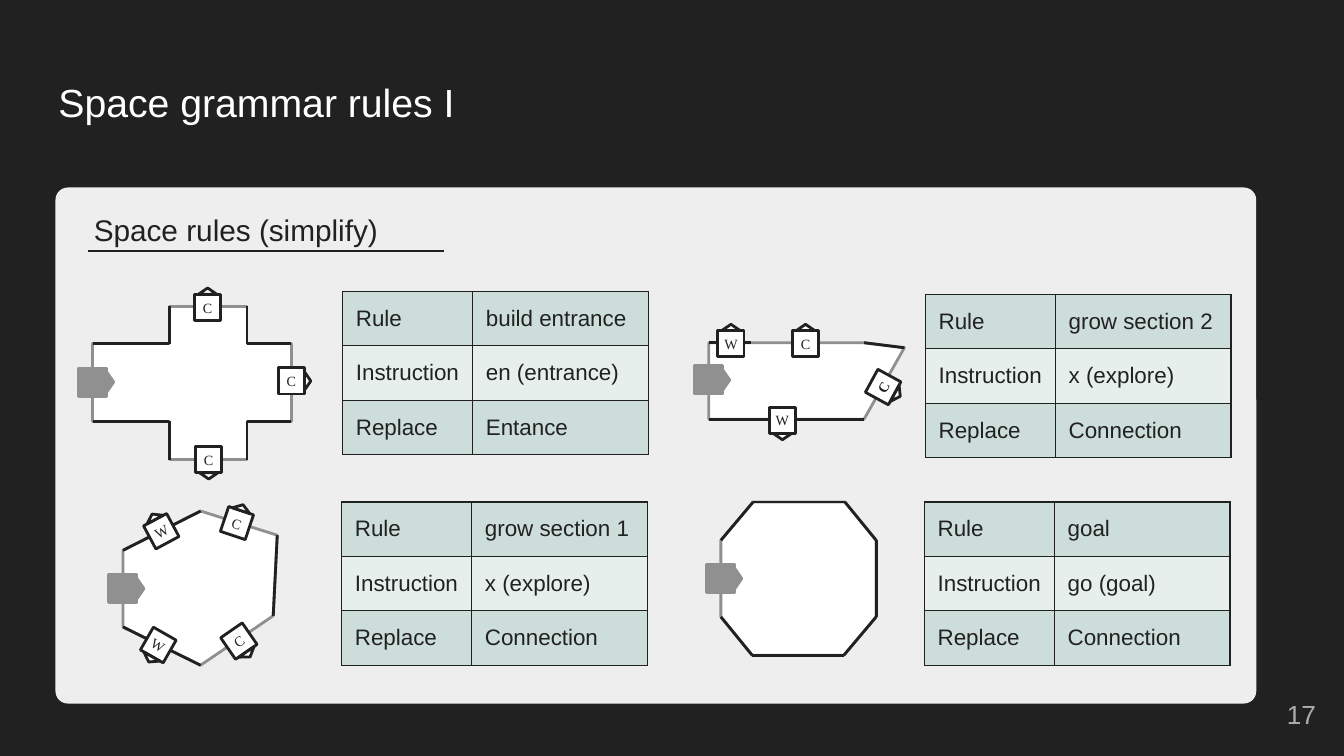
"""Builds the slide "Space grammar rules I": four room outlines with their rule tables."""
from itertools import pairwise
from math import cos, radians, sin

from lxml import etree
from pptx import Presentation
from pptx.dml.color import RGBColor
from pptx.enum.shapes import MSO_CONNECTOR, MSO_SHAPE
from pptx.enum.text import MSO_ANCHOR, PP_ALIGN
from pptx.oxml import parse_xml
from pptx.oxml.ns import qn
from pptx.util import Inches, Pt

STRAIGHT = MSO_CONNECTOR.STRAIGHT
RECTANGLE, ROUNDED, TRIANGLE = MSO_SHAPE.RECTANGLE, MSO_SHAPE.ROUNDED_RECTANGLE, MSO_SHAPE.ISOSCELES_TRIANGLE
TOP, MIDDLE = MSO_ANCHOR.TOP, MSO_ANCHOR.MIDDLE
LEFT, CENTER, RIGHT = PP_ALIGN.LEFT, PP_ALIGN.CENTER, PP_ALIGN.RIGHT

COLORS = {"ink": "212121", "panel": "EEEEEE", "white": "FFFFFF", "gray": "909090",
          "number": "ADADAD", "band": "CCDDDA", "pale": "E7EFED"}
RGB = {name: RGBColor.from_string(value) for name, value in COLORS.items()}
BORDER = ('<a:{} xmlns:a="http://schemas.openxmlformats.org/drawingml/2006/main" w="12700">'
          '<a:solidFill><a:srgbClr val="{}"/></a:solidFill></a:{}>')


def write(frame, text, size, color, align=LEFT, font="Arial", bold=None):
    """Put one styled run in the first paragraph of a text frame."""
    para = frame.paragraphs[0]
    para.alignment = align
    span = para.add_run()
    span.text = text
    span.font.size, span.font.name, span.font.bold = Pt(size), font, bold
    span.font.color.rgb = RGB[color]


def paint(shape, fill, line):
    """Give a shape a flat fill and a 2-point line."""
    shape.shadow.inherit = False
    shape.fill.solid()
    shape.fill.fore_color.rgb = RGB[fill]
    shape.line.color.rgb = RGB[line]
    shape.line.width = Pt(2)


deck = Presentation()
deck.slide_width, deck.slide_height = Inches(13.33), Inches(7.5)
page = deck.slides.add_slide(deck.slide_layouts[6])
page.background.fill.solid()
page.background.fill.fore_color.rgb = RGB["ink"]

panel = page.shapes.add_shape(ROUNDED, Inches(0.55), Inches(1.86), Inches(11.91), Inches(5.12))
panel.adjustments[0] = 0.024
paint(panel, "panel", "panel")
panel.line.fill.background()

texts = [
    ("17", 12.35, 6.8, 0.8, 0.57, 0.1, 18.7, "number", RIGHT, MIDDLE),
    ("Space grammar rules I", 0.45, 0.65, 12.42, 0.84, 0.13, 28, "white", LEFT, TOP),
    ("Space rules (simplify)", 0.8, 1.96, 3.22, 0.64, 0.13, 21.3, "ink", LEFT, MIDDLE),
]
for text, left, top, width, height, inset, size, color, align, anchor in texts:
    box = page.shapes.add_textbox(Inches(left), Inches(top), Inches(width), Inches(height))
    frame = box.text_frame
    frame.word_wrap = True
    frame.vertical_anchor = anchor
    frame.margin_left = frame.margin_right = frame.margin_top = frame.margin_bottom = Inches(inset)
    write(frame, text, size, color, align)

underline = page.shapes.add_connector(STRAIGHT, Inches(0.87), Inches(2.49), Inches(4.4), Inches(2.49))
underline.line.color.rgb = RGB["ink"]
underline.line.width = Pt(1.25)
etree.SubElement(underline.element.spPr, qn("a:effectLst"))

# Marks: letter, centre x, centre y, rotation, turn of the pointer, bold
rooms = [
    {"outline": [(1.68, 3.04), (2.45, 3.04), (2.45, 3.41), (2.89, 3.41), (2.89, 4.18), (2.45, 4.18),
                 (2.45, 4.56), (1.68, 4.56), (1.68, 4.18), (0.92, 4.18), (0.92, 3.41), (1.68, 3.41)],
     "walls": [[(0.92, 3.41), (1.68, 3.41), (1.68, 3.04)], [(0.92, 4.18), (1.68, 4.18), (1.68, 4.56)],
               [(2.45, 4.56), (2.45, 4.18), (2.89, 4.18)], [(2.45, 3.04), (2.45, 3.41), (2.89, 3.41)]],
     "door": (0.92, 3.79),
     "marks": [("C", 2.89, 3.78, 0, 90, None), ("C", 2.06, 3.05, 0, 0, None),
               ("C", 2.07, 4.56, 0, 180, None)]},
    {"outline": [(1.99, 5.07), (2.75, 5.31), (2.71, 6.11), (1.99, 6.6), (1.22, 6.22), (1.22, 5.46)],
     "walls": [[(1.99, 5.07), (1.22, 5.46)], [(2.75, 5.31), (2.71, 6.11)], [(1.99, 6.6), (1.22, 6.22)]],
     "door": (1.22, 5.84),
     "marks": [("C", 2.35, 5.19, 18.5, 0, None), ("C", 2.37, 6.36, 325.3, 180, None),
               ("W", 1.57, 6.4, 29.8, 180, None), ("W", 1.6, 5.27, 331.8, 0, None)]},
    {"outline": [(8.57, 3.4), (8.97, 3.45), (8.57, 4.16), (7.03, 4.16), (7.03, 3.4)],
     "walls": [[(8.57, 3.4), (8.97, 3.45)], [(7.03, 4.16), (8.57, 4.16)], [(7.03, 3.4), (7.45, 3.4)]],
     "door": (7.03, 3.77),
     "marks": [("W", 7.25, 3.41, 0, 0, None), ("C", 7.99, 3.41, 0, 0, None),
               ("C", 8.76, 3.84, 298.6, 180, True), ("W", 7.76, 4.17, 0, 180, None)]},
    {"outline": [(7.47, 4.98), (8.38, 4.98), (8.69, 5.36), (8.69, 6.12), (8.37, 6.5), (7.46, 6.5),
                 (7.15, 6.12), (7.15, 5.36)],
     "walls": [[(7.15, 5.36), (7.47, 4.98), (8.38, 4.98), (8.69, 5.36), (8.69, 6.12), (8.37, 6.5),
                (7.46, 6.5), (7.15, 6.12)]],
     "door": (7.15, 5.74),
     "marks": []},
]
for room in rooms:
    group = page.shapes.add_group_shape()
    corners = [(Inches(x), Inches(y)) for x, y in room["outline"]]
    builder = group.shapes.build_freeform(*corners[0])
    builder.add_line_segments(corners[1:], close=True)
    paint(builder.convert_to_shape(), "white", "gray")

    for wall in room["walls"]:
        for start, end in pairwise(wall):
            edge = group.shapes.add_connector(STRAIGHT, *map(Inches, start + end))
            edge.line.color.rgb = RGB["ink"]
            edge.line.width = Pt(2)
            etree.SubElement(edge.element.spPr, qn("a:effectLst"))

    door = ("", *room["door"], 0, 90, None)
    for letter, x, y, rotation, turn, bold in [door, *room["marks"]]:
        size, fill, line = (0.26, "white", "ink") if letter else (0.28, "gray", "gray")
        square = group.shapes.add_shape(
            RECTANGLE, Inches(x - size / 2), Inches(y - size / 2), Inches(size), Inches(size))
        square.rotation = rotation
        paint(square, fill, line)
        if letter:
            frame = square.text_frame
            frame.word_wrap = False
            frame.vertical_anchor = MIDDLE
            frame.margin_left = frame.margin_right = frame.margin_top = frame.margin_bottom = 0
            write(frame, letter, 10.1, "ink", CENTER, "Times New Roman", bold)

        heading = (rotation + turn) % 360
        tip_x = x + 0.62 * size * sin(radians(heading))
        tip_y = y - 0.62 * size * cos(radians(heading))
        width, height = 0.7 * size, 0.24 * size
        pointer = group.shapes.add_shape(
            TRIANGLE, Inches(tip_x - width / 2), Inches(tip_y - height / 2), Inches(width), Inches(height))
        pointer.rotation = heading
        paint(pointer, fill, line)

rules = [
    (3.4, 2.89, "build entrance", "en (entrance)", "Entance"),
    (3.39, 4.98, "grow section 1", "x (explore)", "Connection"),
    (9.18, 2.92, "grow section 2", "x (explore)", "Connection"),
    (9.17, 4.98, "goal", "go (goal)", "Connection"),
]
for left, top, *values in rules:
    table = page.shapes.add_table(3, 2, Inches(left), Inches(top), Inches(3.03), Inches(1.62)).table
    table.first_row = table.horz_banding = False
    table.columns[0].width, table.columns[1].width = Inches(1.29), Inches(1.74)
    for row, entry in enumerate(zip(("Rule", "Instruction", "Replace"), values)):
        table.rows[row].height = Inches(0.54)
        for column, text in enumerate(entry):
            cell = table.cell(row, column)
            cell.vertical_anchor = MIDDLE
            cell.margin_left = cell.margin_right = Inches(0.13)
            cell.margin_top = cell.margin_bottom = Inches(0.07)
            cell.fill.solid()
            cell.fill.fore_color.rgb = RGB["pale" if row == 1 else "band"]
            write(cell.text_frame, text, 16, "ink")
            properties = cell._tc.get_or_add_tcPr()
            for place, side in enumerate(("lnL", "lnR", "lnT", "lnB")):
                properties.insert(place, parse_xml(BORDER.format(side, COLORS["ink"], side)))

deck.save("out.pptx")
